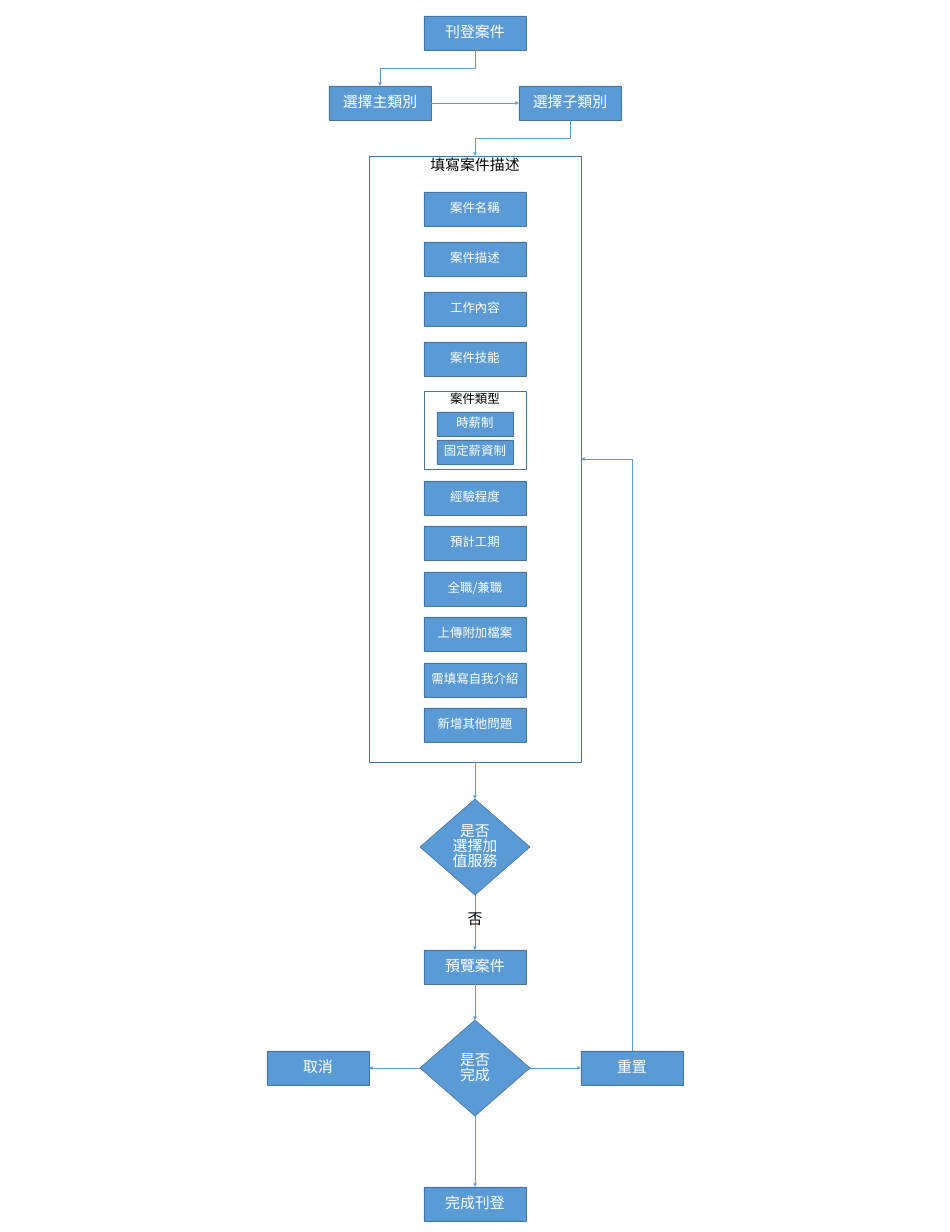
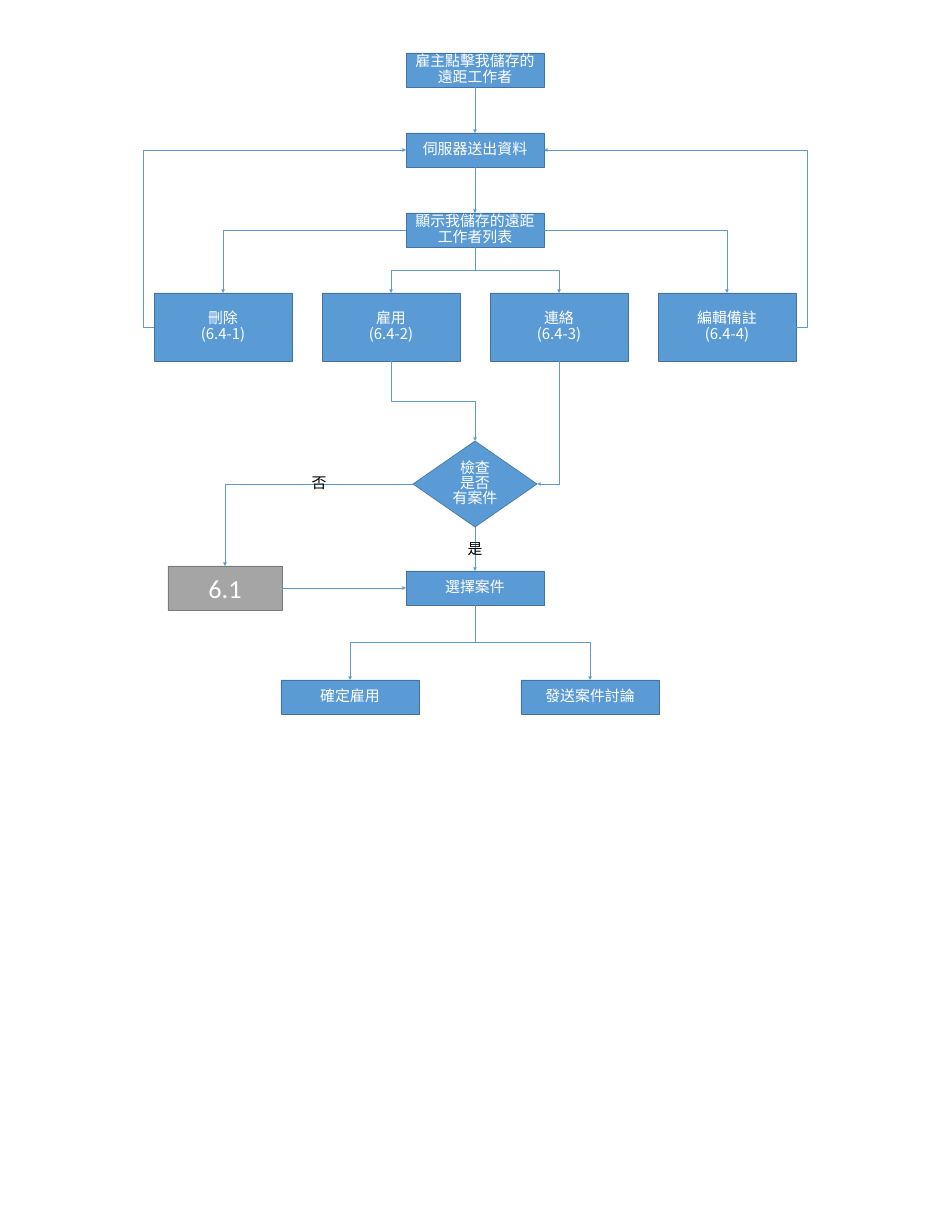
import math

import pptx
import pptx.dml.color
import pptx.enum.shapes
import pptx.enum.text
import pptx.oxml.ns
import pptx.util
from lxml import etree

SCALE = 20456  # EMU per pixel
MIDDLE = 475  # centre line of both charts
BOX_HEIGHT = 34

CJK = "Noto Sans CJK SC"
THEME = {
    "connector": "5B9BD5",
    "connector_width": 0.5,
    "outline_width": 1,
    "styles": {
        "step": dict(fill="5B9BD5", line="43739E", color="FFFFFF", size=24, font=CJK, spacing=0.84),
        "field": dict(fill="5B9BD5", line="43739E", color="FFFFFF", size=20, font=CJK, spacing=0.84),
        "panel": dict(fill=None, line="43739E", color="000000", size=24, font=CJK, spacing=0.84),
        "group": dict(fill=None, line="43739E", color="000000", size=20, font=CJK, spacing=0.84),
        "label": dict(fill=None, line=None, color="000000", size=24, font=CJK, spacing=0.84),
        "reference": dict(fill="A5A5A5", line="7A7A7A", color="FFFFFF", size=42.2, font="Calibri", spacing=1.0),
    },
}
SIDES = {  # connection site, horizontal and vertical fraction of the shape
    "top": (0, 0.5, 0),
    "left": (1, 0, 0.5),
    "bottom": (2, 0.5, 1),
    "right": (3, 1, 0.5),
}
RECTANGLE = pptx.enum.shapes.MSO_SHAPE.RECTANGLE
DIAMOND = pptx.enum.shapes.MSO_SHAPE.DIAMOND
ANCHOR = pptx.enum.text.MSO_ANCHOR
rgb = pptx.dml.color.RGBColor.from_string
qn = pptx.oxml.ns.qn


def add_box(page, text, center, top, width, height=BOX_HEIGHT, style="step", preset=RECTANGLE):
    """Add a box centred on a pixel column; a line feed starts a paragraph, \\v breaks a line."""
    look = THEME["styles"][style]
    frame = [value * SCALE for value in (center - width // 2, top, width, height)]
    if look["line"]:
        box = page.shapes.add_shape(preset, *frame)
        box.shadow.inherit = False
        box.line.color.rgb = rgb(look["line"])
        box.line.width = pptx.util.Pt(THEME["outline_width"])
    else:
        box = page.shapes.add_textbox(*frame)
    if look["fill"]:
        box.fill.solid()
        box.fill.fore_color.rgb = rgb(look["fill"])
    else:
        box.fill.background()
    box.text_frame.text = text
    box.text_frame.word_wrap = True
    box.text_frame.vertical_anchor = ANCHOR.TOP if style in ("panel", "group") else ANCHOR.MIDDLE
    paragraph_format = {"alignment": pptx.enum.text.PP_ALIGN.CENTER, "line_spacing": look["spacing"]}
    span_format = {"size": pptx.util.Pt(look["size"]), "name": look["font"]}
    for para in box.text_frame.paragraphs:
        for name, value in paragraph_format.items():
            setattr(para, name, value)
        for span in para.runs:
            for name, value in span_format.items():
                setattr(span.font, name, value)
            span.font.color.rgb = rgb(look["color"])
            latin = span.font._element.find(qn("a:latin"))
            latin.addnext(latin.makeelement(qn("a:ea"), {"typeface": look["font"]}))
    return box


def connect(page, start, start_side, end, end_side, bend=None):
    """Join two boxes with an arrow; bend places the middle leg as a fraction of the run."""
    sites, points = [], []
    for box, side in ((start, start_side), (end, end_side)):
        site, across, down = SIDES[side]
        sites.append(site)
        points.append((box.left + box.width * across, box.top + box.height * down))
    (start_x, start_y), (end_x, end_y) = points
    run, drop = end_x - start_x, end_y - start_y
    straight = run == 0 or drop == 0
    # An elbow leaves its start along its own x axis, so it is turned to face the start side
    turns = {"right": 0, "left": 180, "bottom": 90 if run < 0 else 270, "top": 270}
    turn = 0 if straight else turns[start_side]
    cosine, sine = round(math.cos(math.radians(turn))), round(math.sin(math.radians(turn)))
    half_x, half_y = (run * cosine + drop * sine) / 2, (drop * cosine - run * sine) / 2
    center_x, center_y = (start_x + end_x) / 2, (start_y + end_y) / 2
    kinds = pptx.enum.shapes.MSO_CONNECTOR
    arrow = page.shapes.add_connector(
        kinds.STRAIGHT if straight else kinds.ELBOW,
        int(center_x - half_x), int(center_y - half_y),
        int(center_x + half_x), int(center_y + half_y))
    arrow.line.color.rgb = rgb(THEME["connector"])
    arrow.line.width = pptx.util.Pt(THEME["connector_width"])
    # Arrowhead, no shadow, turn and bend
    properties = arrow._element.spPr
    etree.SubElement(properties.find(qn("a:ln")), qn("a:tailEnd"), type="triangle")
    etree.SubElement(properties, qn("a:effectLst"))
    if turn:
        properties.find(qn("a:xfrm")).set("rot", str(turn * 60000))
    geometry = properties.find(qn("a:prstGeom"))
    if not straight and sites[0] % 2 != sites[1] % 2:
        geometry.set("prst", "bentConnector2")
    if bend is not None:
        etree.SubElement(geometry.find(qn("a:avLst")), qn("a:gd"),
                         name="adj1", fmla=f"val {round(bend * 100000)}")
    # Glue both ends
    glue = arrow._element.find(".//" + qn("p:cNvCxnSpPr"))
    for tag, box, site in zip(("a:stCxn", "a:endCxn"), (start, end), sites):
        etree.SubElement(glue, qn(tag), id=str(box.shape_id), idx=str(site))


deck = pptx.Presentation()
deck.slide_width = 950 * SCALE
deck.slide_height = 1232 * SCALE
blank = deck.slide_layouts[6]

# Slide 1: posting a case
page = deck.slides.add_slide(blank)
WIDTH = 102
post = add_box(page, "刊登案件", MIDDLE, 16, WIDTH)
main_category = add_box(page, "選擇主類別", MIDDLE - 95, 86, WIDTH)
sub_category = add_box(page, "選擇子類別", MIDDLE + 95, 86, WIDTH)
description = add_box(page, "填寫案件描述", MIDDLE, 156, 212, 606, "panel")

# Form fields inside the description panel
for index, text in enumerate(["案件名稱", "案件描述", "工作內容", "案件技能"]):
    add_box(page, text, MIDDLE, 192 + 50 * index, WIDTH, style="field")
add_box(page, "案件類型", MIDDLE, 391, WIDTH, 78, "group")
for index, text in enumerate(["時薪制", "固定薪資制"]):
    add_box(page, text, MIDDLE, 412 + 28 * index, 76, 24, "field")
later_fields = ["經驗程度", "預計工期", "全職/兼職", "上傳附加檔案", "需填寫自我介紹", "新增其他問題"]
for index, text in enumerate(later_fields):
    add_box(page, text, MIDDLE, 481 + 91 * index // 2, WIDTH, style="field")

# Decisions and outcomes
extras = add_box(page, "是否\n選擇加值服務", MIDDLE, 799, 110, 96, preset=DIAMOND)
preview = add_box(page, "預覽案件", MIDDLE, 950, WIDTH)
complete = add_box(page, "是否\n完成", MIDDLE, 1020, 110, 96, preset=DIAMOND)
cancel = add_box(page, "取消", MIDDLE - 157, 1051, WIDTH)
reset = add_box(page, "重置", MIDDLE + 157, 1051, WIDTH)
finish = add_box(page, "完成刊登", MIDDLE, 1187, WIDTH)

for link in [
    (post, "bottom", main_category, "top"),
    (main_category, "right", sub_category, "left"),
    (sub_category, "bottom", description, "top"),
    (description, "bottom", extras, "top"),
    (extras, "bottom", preview, "top"),
    (preview, "bottom", complete, "top"),
    (complete, "left", cancel, "right"),
    (complete, "right", reset, "left"),
    (reset, "top", description, "right"),
    (complete, "bottom", finish, "top"),
]:
    connect(page, *link)
add_box(page, "否", MIDDLE, 903, WIDTH, style="label")

# Slide 2: saved remote workers
page = deck.slides.add_slide(blank)
WIDTH = 138
opening = ["雇主點擊我儲存的遠距工作者", "伺服器送出資料", "顯示我儲存的遠距工作者列表"]
click, server, worker_list = [
    add_box(page, text, MIDDLE, 53 + 80 * index, WIDTH) for index, text in enumerate(opening)]
delete, hire, contact, edit = [
    add_box(page, f"{text}\v(6.4-{index + 1})", MIDDLE - 252 + 168 * index, 293, WIDTH, 68)
    for index, text in enumerate(["刪除", "雇用", "連絡", "編輯備註"])]
check = add_box(page, "檢查\n是否\n有案件", MIDDLE, 441, 124, 86, preset=DIAMOND)
new_case = add_box(page, "6.1", 225, 566, 114, 44, "reference")
choose = add_box(page, "選擇案件", MIDDLE, 571, WIDTH)
confirm = add_box(page, "確定雇用", 350, 680, WIDTH)
discuss = add_box(page, "發送案件討論", 590, 680, WIDTH)

for link in [
    (click, "bottom", server, "top"),
    (server, "bottom", worker_list, "top"),
    (worker_list, "left", delete, "top"),
    (worker_list, "bottom", hire, "top"),
    (worker_list, "bottom", contact, "top"),
    (worker_list, "right", edit, "top"),
    (delete, "left", server, "left", -0.044),
    (edit, "right", server, "right", -0.044),
    (hire, "bottom", check, "top"),
    (contact, "bottom", check, "right"),
    (check, "left", new_case, "top"),
    (check, "bottom", choose, "top"),
    (new_case, "right", choose, "left"),
    (choose, "bottom", confirm, "top"),
    (choose, "bottom", discuss, "top"),
]:
    connect(page, *link)
for text, center, top in [("否", 319, 467), ("是", MIDDLE, 533)]:
    add_box(page, text, center, top, 102, style="label")

deck.save("out.pptx")
